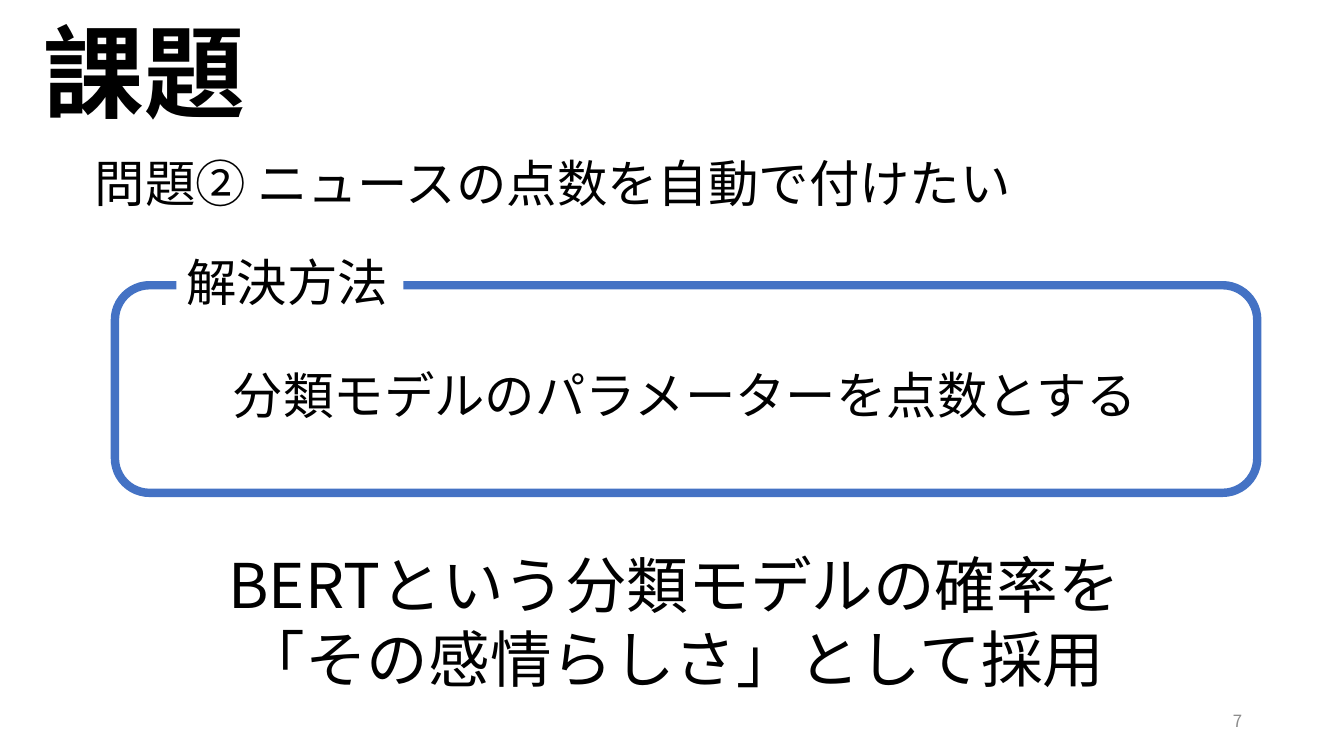
from lxml import etree
from pptx import Presentation
from pptx.dml.color import RGBColor
from pptx.enum.shapes import MSO_SHAPE
from pptx.enum.text import MSO_ANCHOR, MSO_AUTO_SIZE, PP_ALIGN
from pptx.oxml.ns import qn
from pptx.util import Pt

PX = 9144  # 100 px to the inch
PAGE_WIDTH, PAGE_HEIGHT = 1333, 750
FONT = "Noto Sans CJK JP"
COLORS = {"text": "000000", "frame": "4472C4", "paper": "FFFFFF", "number": "8C8C8C"}
LEFT, CENTER, RIGHT = PP_ALIGN.LEFT, PP_ALIGN.CENTER, PP_ALIGN.RIGHT
TOP, MIDDLE = MSO_ANCHOR.TOP, MSO_ANCHOR.MIDDLE
FIT, FIXED = MSO_AUTO_SIZE.SHAPE_TO_FIT_TEXT, MSO_AUTO_SIZE.NONE
TITLE_ONLY = 5


def color(name):
    return RGBColor.from_string(COLORS[name])


def emu(box):
    return [length * PX for length in box]


def place(shape, box):
    for name, value in zip(("left", "top", "width", "height"), emu(box)):
        setattr(shape, name, value)


def write(shape, lines, size, align=LEFT, ink="text", bold=False, anchor=TOP, fit=FIT):
    frame = shape.text_frame
    frame_format = {"word_wrap": True, "auto_size": fit, "vertical_anchor": anchor}
    for name, value in frame_format.items():
        setattr(frame, name, value)
    for index, line in enumerate(lines):
        para = frame.add_paragraph() if index else frame.paragraphs[0]
        para.alignment = align
        para.line_spacing = 1.0
        span = para.add_run()
        span.text = line
        span.font.color.rgb = color(ink)
        for name, value in {"name": FONT, "size": Pt(size), "bold": bold}.items():
            setattr(span.font, name, value)
        # East Asian typeface
        etree.SubElement(span.font._element, qn("a:ea"), typeface=FONT)


def add_title(page, box, text):
    place(page.shapes.title, box)
    write(page.shapes.title, [text], 72, bold=True)


def add_text(shapes, box, lines, size, **style):
    write(shapes.add_textbox(*emu(box)), lines, size, **style)


def add_solution(page, box, label, text):
    left, top, width, height = box
    shapes = page.shapes.add_group_shape().shapes

    # Statement inside the frame
    add_text(shapes, (left + 96, top + 73, width - 194, 71), [text], 36, align=CENTER)

    # Rounded frame
    frame = shapes.add_shape(MSO_SHAPE.ROUNDED_RECTANGLE, *emu(box))
    frame.shadow.inherit = False
    frame.fill.background()
    frame.line.color.rgb = color("frame")
    frame.line.width = Pt(6)

    # Label that breaks the top edge
    tag = shapes.add_shape(MSO_SHAPE.RECTANGLE, *emu((left + 61, top - 39, 225, 71)))
    tag.shadow.inherit = False
    tag.fill.solid()
    tag.fill.fore_color.rgb = color("paper")
    tag.line.fill.background()
    write(tag, [label], 36)


def main():
    deck = Presentation()
    deck.slide_width, deck.slide_height = PAGE_WIDTH * PX, PAGE_HEIGHT * PX
    page = deck.slides.add_slide(deck.slide_layouts[TITLE_ONLY])

    add_title(page, (33, 5, 277, 131), "課題")
    # Problem
    add_text(page.shapes, (84, 146, 1170, 71),
             ["問題② ニュースの点数を自動で付けたい"], 36)
    add_solution(page, (114, 283, 1133, 206),
                 "解決方法", "分類モデルのパラメーターを点数とする")
    # Conclusion
    add_text(page.shapes, (84, 538, 1170, 158),
             ["BERTという分類モデルの確率を", "「その感情らしさ」として採用"], 44, align=CENTER)
    # Page number
    add_text(page.shapes, (942, 695, 300, 40), ["7"], 12,
             align=RIGHT, ink="number", anchor=MIDDLE, fit=FIXED)

    deck.save("out.pptx")


if __name__ == "__main__":
    main()
